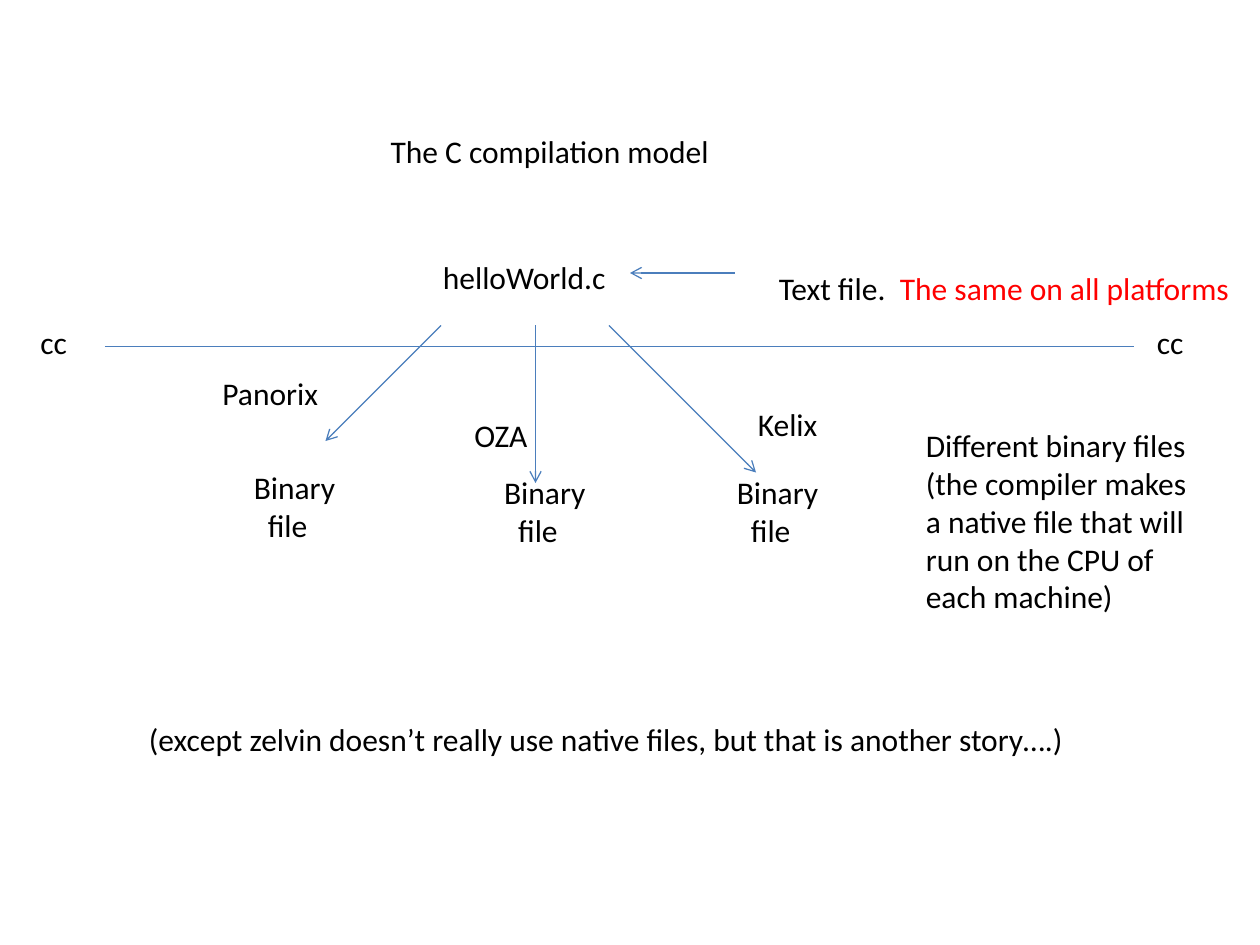
from lxml.etree import SubElement as Sub
from pptx import Presentation
from pptx.dml.color import RGBColor as RGB
from pptx.enum.shapes import MSO_CONNECTOR as Conn
from pptx.enum.text import MSO_ANCHOR as Anchor, MSO_AUTO_SIZE as Auto, PP_ALIGN as Align
from pptx.oxml.ns import qn
from pptx.util import Pt

BLACK = RGB(0x00, 0x00, 0x00)
RED = RGB(0xFF, 0x00, 0x00)
BLUE = RGB(0x4B, 0x7E, 0xBC)
FONT = "Calibri"
SIZE = 18
ROW = 29  # height of a one-line box


def style(run, color=BLACK):
    """Give a run the slide's font, size and a colour."""
    run.font.name, run.font.size = FONT, Pt(SIZE)
    run.font.color.rgb = color


def fill(shape, text):
    """Put unwrapped, left-aligned text into a shape."""
    frame = shape.text_frame
    frame.text = text
    frame.word_wrap, frame.auto_size = False, Auto.NONE
    frame.vertical_anchor = Anchor.TOP
    for para in frame.paragraphs:
        para.alignment = Align.LEFT
        for run in para.runs:
            style(run)
    return frame


def label(slide, text, x, y, w, h=ROW):
    """Add a text box and return its frame."""
    return fill(slide.shapes.add_textbox(Pt(x), Pt(y), Pt(w), Pt(h)), text)


def line(slide, x1, y1, x2, y2, arrow=True):
    """Draw a thin line, with an open arrowhead at its end if asked."""
    link = slide.shapes.add_connector(Conn.STRAIGHT, Pt(x1), Pt(y1), Pt(x2), Pt(y2))
    link.line.color.rgb, link.line.width = BLUE, Pt(0.75)
    props = link._element.spPr
    if arrow:
        Sub(props.find(qn("a:ln")), qn("a:tailEnd"), type="arrow")
    Sub(props, qn("a:effectLst"))


def heading(slide, x, y, w):
    """Place the slide title."""
    title = slide.shapes.title
    title.left, title.top, title.width, title.height = Pt(x), Pt(y), Pt(w), Pt(ROW)
    fill(title, "The C compilation model")


def source(slide, x, y):
    """Place the source file and the remark that points at it."""
    label(slide, "helloWorld.c", x, y, 109)
    line(slide, x + 174, y + 12, x + 114, y + 12)
    note = label(slide, "Text file.  ", x + 192, y + 6, 275)
    run = note.paragraphs[0].add_run()
    run.text = "The same on all platforms"
    style(run, RED)


def divide(slide, x, y, w):
    """Place the compiler line with its name at both ends."""
    for left in (x, x + w - 38):
        label(slide, "cc", left, y, 38)
    line(slide, x + 44, y + 17, x + w - 44, y + 17, arrow=False)


def target(slide, x, y, system, name, start, end):
    """Place one platform: arrow, system name and binary file, from x, y."""
    line(slide, x + start, y, x + end[0], y + end[1])
    label(slide, system, x + name[0], y + name[1], name[2])
    file = label(slide, "Binary\nfile", x, y + end[2], 61, 51)
    file.paragraphs[1]._p.get_or_add_pPr().set("marL", str(Pt(8)))


def notes(slide, x, y):
    """Place the remark on binaries and the exception below."""
    label(slide, "Different binary files\n(the compiler makes\na native file that will\n"
          "run on the CPU of\neach machine)", x, y, 166, 117)
    label(slide, "(except zelvin doesn\u2019t really use native files, "
          "but that is another story\u2026.)", x - 444, y + 168, 552)


# left, system, (name dx, dy, width), arrow start dx, (arrow end dx, dy, file dy)
TARGETS = [
    (138, "Panorix", (-18, 24, 84), 114, (48, 66, 78)),
    (281, "OZA", (-17, 48, 48), 25, (25, 90, 81)),
    (414, "Kelix", (12, 42, 53), -66, (18, 84, 81)),
]

deck = Presentation()
deck.slide_width, deck.slide_height = Pt(720), Pt(540)
page = deck.slides.add_slide(deck.slide_layouts[5])
heading(page, 216, 72, 199)
source(page, 246, 144)
divide(page, 16, 181, 676)
for left, *rest in TARGETS:
    target(page, left, 186, *rest)
notes(page, 522, 240)
deck.save("out.pptx")
